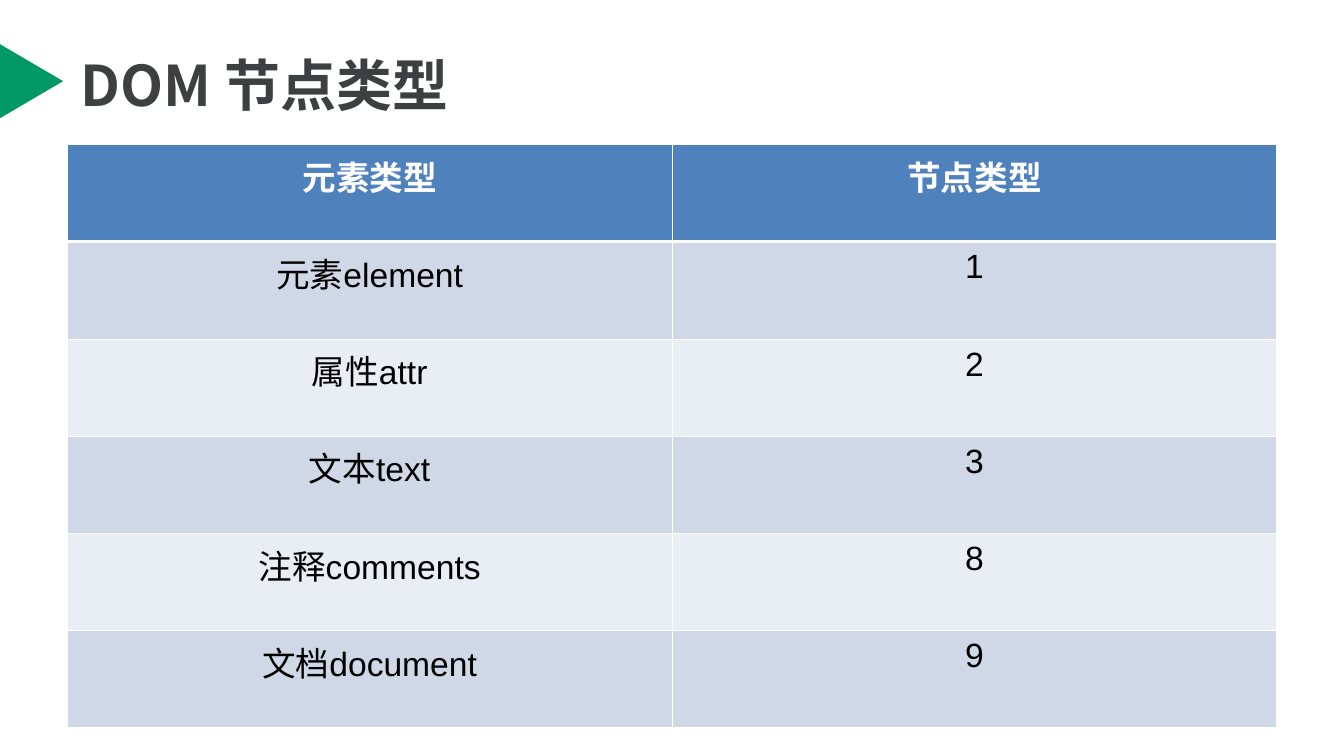
from dataclasses import dataclass

from lxml import etree
from pptx import Presentation
from pptx.dml.color import RGBColor
from pptx.enum import shapes, text
from pptx.oxml import ns
from pptx.util import Pt


@dataclass(frozen=True)
class Theme:
    accent: str = "009966"
    title: str = "3D3F41"
    header: str = "4F81BD"
    bands: tuple = ("D0D8E8", "E9EDF4")
    light: str = "FFFFFF"
    dark: str = "000000"
    title_size: float = 30
    cell_size: float = 18
    latin: str = "Arial"
    chinese: str = "Noto Sans CJK SC"


theme = Theme()


def write(frame, words, color, **font_format):
    """Put one run in a frame and set its font, East Asian face included."""
    run = frame.paragraphs[0].add_run()
    run.text = words
    for key, value in font_format.items():
        setattr(run.font, key, value)
    run.font.color.rgb = RGBColor.from_string(color)
    east_asian = etree.Element(ns.qn("a:ea"), typeface=theme.chinese)
    run.font._element.find(ns.qn("a:latin")).addnext(east_asian)


def add_borders(cell, widths):
    """Draw the cell's left, right, top and bottom lines, in that order."""
    properties = cell._tc.get_or_add_tcPr()
    for index, (side, width) in enumerate(zip("LRTB", widths)):
        line = etree.Element(ns.qn(f"a:ln{side}"), w=str(Pt(width)))
        fill = etree.SubElement(line, ns.qn("a:solidFill"))
        etree.SubElement(fill, ns.qn("a:srgbClr"), val=theme.light)
        properties.insert(index, line)


deck = Presentation()
deck.slide_width, deck.slide_height = Pt(720), Pt(405)
slide = deck.slides.add_slide(deck.slide_layouts[5])

# Marker at the left edge
marker = slide.shapes.add_shape(
    shapes.MSO_SHAPE.ISOSCELES_TRIANGLE, Pt(-2.88), Pt(26.6), Pt(39.6), Pt(33.8))
marker.rotation = 90
marker.shadow.inherit = False
marker.fill.solid()
marker.fill.fore_color.rgb = RGBColor.from_string(theme.accent)
marker.line.fill.background()

# Title
heading = slide.shapes.title
place = {"left": Pt(36), "top": Pt(25.2), "width": Pt(648), "height": Pt(41.8)}
for key, value in place.items():
    setattr(heading, key, value)
frame_format = {"vertical_anchor": text.MSO_ANCHOR.BOTTOM,
                "auto_size": text.MSO_AUTO_SIZE.NONE, "word_wrap": True}
for key, value in frame_format.items():
    setattr(heading.text_frame, key, value)
heading.text_frame.paragraphs[0].alignment = text.PP_ALIGN.LEFT
heading.text_frame.paragraphs[0].line_spacing = 0.9
write(heading.text_frame, "DOM 节点类型", theme.title,
      name=theme.chinese, size=Pt(theme.title_size), bold=True)

# Node types
node_types = [
    ("元素类型", "节点类型"),
    ("元素element", "1"),
    ("属性attr", "2"),
    ("文本text", "3"),
    ("注释comments", "8"),
    ("文档document", "9"),
]
row_height = 52.08
thin, thick = 0.45, 1.47
table = slide.shapes.add_table(
    len(node_types), 2, Pt(36), Pt(77.4), Pt(648),
    Pt(row_height * len(node_types))).table

for row, entries in enumerate(node_types):
    table.rows[row].height = Pt(row_height)
    is_header = row == 0
    background = theme.header if is_header else theme.bands[(row - 1) % 2]
    top = thick if row == 1 else thin
    bottom = thick if is_header else thin
    for column, entry in enumerate(entries):
        cell = table.cell(row, column)
        cell.fill.solid()
        cell.fill.fore_color.rgb = RGBColor.from_string(background)
        add_borders(cell, (thin, thin, top, bottom))
        cell.text_frame.paragraphs[0].alignment = text.PP_ALIGN.CENTER
        write(cell.text_frame, entry, theme.light if is_header else theme.dark,
              name=theme.latin, size=Pt(theme.cell_size), bold=is_header)

deck.save("out.pptx")
